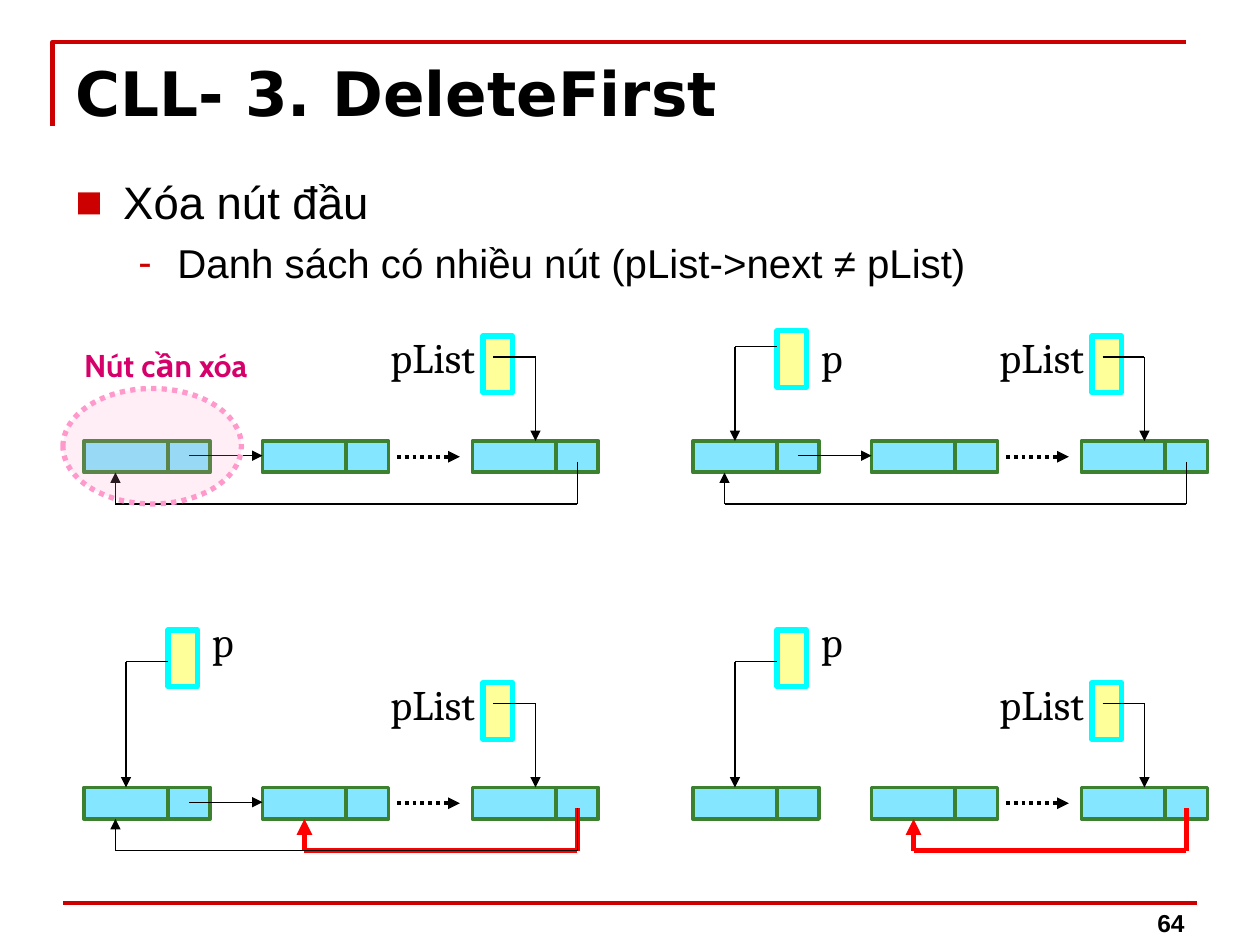
from lxml.etree import SubElement
from pptx import Presentation
from pptx.dml.color import RGBColor
from pptx.enum.dml import MSO_LINE
from pptx.enum.shapes import MSO_CONNECTOR, MSO_SHAPE
from pptx.enum.text import MSO_ANCHOR, PP_ALIGN
from pptx.oxml.ns import qn
from pptx.util import Inches, Pt

HUES = {
    "ink": "000000", "rule": "CC0000", "node": "00CCFF", "edge": "3B812F",
    "box": "FFFF99", "rim": "00FFFF", "new": "FF0000", "ring": "FF99CC",
    "note": "D6006B",
}
UNIT = Inches(10) // 120


def size(n):
    return round(n * UNIT)


def hue(name):
    return RGBColor.from_string(HUES[name])


class Board:
    def __init__(self, slide):
        self.slide = slide
        self.shapes = slide.shapes
        self.left = self.top = 0

    def move(self, left, top):
        self.left, self.top = left, top

    def place(self, x, y):
        return size(self.left + x), size(self.top + y)

    def pen(self, line, color, width, dash=None):
        line.color.rgb = hue(color)
        line.width = Pt(width)
        if dash:
            line.dash_style = dash

    def shape(self, kind, x, y, w, h, fill, edge, width, alpha=None, dash=None):
        item = self.shapes.add_shape(kind, *self.place(x, y), size(w), size(h))
        item.shadow.inherit = False
        item.fill.solid()
        item.fill.fore_color.rgb = hue(fill)
        if alpha:
            tint = item._element.spPr.find(f"{qn('a:solidFill')}/{qn('a:srgbClr')}")
            SubElement(tint, qn("a:alpha"), val=str(alpha * 1000))
        self.pen(item.line, edge, width, dash)

    def line(self, x1, y1, x2, y2, color="ink", width=0.75, head=False, dash=None):
        item = self.shapes.add_connector(
            MSO_CONNECTOR.STRAIGHT, *self.place(x1, y1), *self.place(x2, y2))
        self.pen(item.line, color, width, dash)
        if head:
            SubElement(item.line._get_or_add_ln(), qn("a:tailEnd"), type="triangle")
        SubElement(item._element.spPr, qn("a:effectLst"))

    def route(self, points, color="ink", width=0.75):
        last = len(points) - 2
        for i, (start, end) in enumerate(zip(points, points[1:])):
            self.line(*start, *end, color, width, head=i == last)

    def frame(self, points, color, width):
        trace = self.shapes.build_freeform(*points[0], scale=UNIT)
        trace.add_line_segments(points[1:], close=False)
        item = trace.convert_to_shape()
        item.shadow.inherit = False
        item.fill.background()
        self.pen(item.line, color, width)

    def area(self, x, y, w, h, wrap=True, anchor=MSO_ANCHOR.TOP):
        frame = self.shapes.add_textbox(*self.place(x, y), size(w), size(h)).text_frame
        frame.word_wrap = wrap
        frame.vertical_anchor = anchor
        return frame

    def words(self, para, text, points, font="Arial", color="ink", bold=False,
              align=PP_ALIGN.LEFT):
        para.alignment = align
        run = para.add_run()
        run.text = text
        run.font.size = Pt(points)
        run.font.name = font
        run.font.bold = bold
        run.font.color.rgb = hue(color)

    def bullet(self, para, mark, left, hang):
        props = para._p.get_or_add_pPr()
        props.set("marL", str(Inches(left)))
        props.set("indent", str(-Inches(hang)))
        tint = SubElement(props, qn("a:buClr"))
        SubElement(tint, qn("a:srgbClr"), val=HUES["rule"])
        SubElement(props, qn("a:buFont"), typeface="Arial")
        SubElement(props, qn("a:buChar"), char=mark)

    def label(self, x, y, w, text):
        frame = self.area(x, y, w, 6, wrap=False)
        self.words(frame.paragraphs[0], text, 24, "Cambria")

    def node(self, x):
        for left, wide in ((x, 8), (x + 8, 4)):
            self.shape(MSO_SHAPE.RECTANGLE, left, 42, wide, 3,
                       "node", "edge", 2.25, alpha=48)

    def pointer(self, x, y):
        self.shape(MSO_SHAPE.RECTANGLE, x, y, 2.8, 5.4, "box", "rim", 3)

    def chain(self, linked):
        for x in (8, 25, 45):
            self.node(x)
        self.line(37.8, 43.5, 43.8, 43.5, width=2.25, head=True,
                  dash=MSO_LINE.ROUND_DOT)
        if linked:
            self.line(18, 43.4, 25, 43.4, head=True)
        self.pointer(46, 32)
        self.route([(47, 34), (51, 34), (51, 42)])
        self.label(36, 31, 10.7, "pList")

    def temp(self, box, text, turn):
        self.pointer(16, box)
        self.route([(16, turn), (12, turn), (12, 42)])
        self.label(19, text, 4.4, "p")

    def loop(self, x, color="ink", width=0.75):
        self.route([(55, 44), (55, 48), (x, 48), (x, 45)], color, width)


def main():
    deck = Presentation()
    deck.slide_width, deck.slide_height = Inches(10), Inches(7.5)
    board = Board(deck.slides.add_slide(deck.slide_layouts[6]))

    board.frame([(5, 12), (5, 4), (113, 4)], "rule", 2.5)
    board.line(6, 86, 114, 86, "rule", 2)
    page = board.area(86, 83.9, 28, 6, anchor=MSO_ANCHOR.BOTTOM)
    board.words(page.paragraphs[0], "64", 14, bold=True, align=PP_ALIGN.RIGHT)
    title = board.area(6, 4.7, 108, 10.3)
    board.words(title.paragraphs[0], "CLL- 3. DeleteFirst", 35, "DejaVu Sans", bold=True)

    body = board.area(6, 16, 108, 64.4)
    first, second = body.paragraphs[0], body.add_paragraph()
    board.bullet(first, "■", 0.38, 0.38)
    board.words(first, "Xóa nút đầu", 26, align=PP_ALIGN.JUSTIFY)
    second.level = 1
    board.bullet(second, "-", 0.81, 0.31)
    second.space_before = Pt(5.5)
    board.words(second, "Danh sách có nhiều nút (pList->next ≠ pList)", 23,
                align=PP_ALIGN.JUSTIFY)

    high, low = (31.5, 31, 33), (27, 25, 30)
    old, new = (11,), (29, "new", 3)
    steps = [
        (0, 0, True, None, [old]),
        (58, 0, True, high, [old]),
        (0, 33, True, low, [new, old]),
        (58, 33, False, low, [new]),
    ]
    for left, top, linked, temp, loops in steps:
        board.move(left, top)
        board.chain(linked)
        if temp:
            board.temp(*temp)
        for loop in loops:
            board.loop(*loop)

    board.move(0, 0)
    board.shape(MSO_SHAPE.OVAL, 6, 37, 17, 11, "ring", "ring", 3, alpha=16,
                dash=MSO_LINE.ROUND_DOT)
    note = board.area(5.6, 32.4, 20.4, 4.8, wrap=False)
    board.words(note.paragraphs[0], "Nút cần xóa", 18, "Cabin", "note", True,
                PP_ALIGN.CENTER)
    deck.save("out.pptx")


if __name__ == "__main__":
    main()
